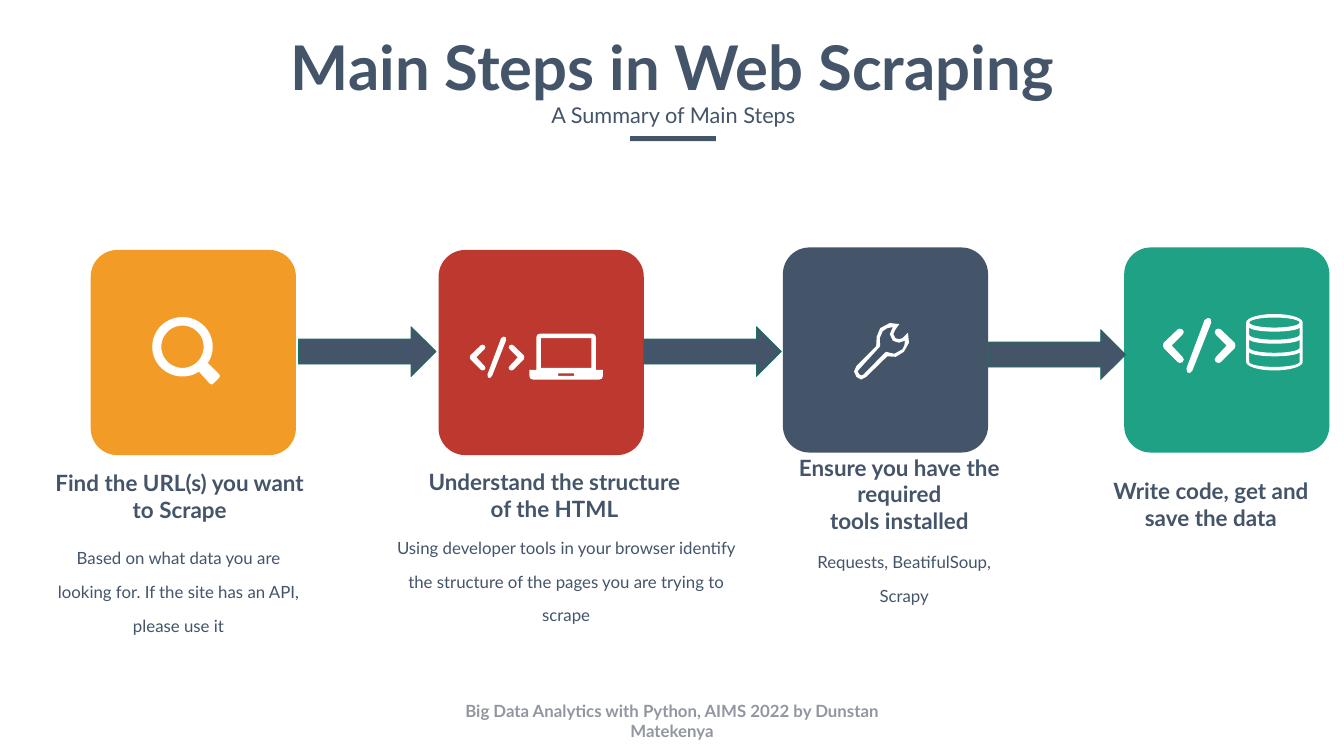
import math

import pptx
import pptx.dml.color
import pptx.enum.shapes
import pptx.enum.text
import pptx.util

Inches = pptx.util.Inches
RGBColor = pptx.dml.color.RGBColor
MSO_SHAPE = pptx.enum.shapes.MSO_SHAPE
ANCHOR = pptx.enum.text.MSO_ANCHOR
FONT = "Lato"

SLATE = RGBColor(0x44, 0x54, 0x69)
ORANGE = RGBColor(0xF2, 0x9B, 0x26)
RED = RGBColor(0xBD, 0x39, 0x2F)
GREEN = RGBColor(0x1E, 0xA1, 0x85)
ARROW_EDGE = RGBColor(0x15, 0x75, 0x61)
GREY = RGBColor(0x91, 0x97, 0xA0)
WHITE = RGBColor(0xFF, 0xFF, 0xFF)

# Content: card colour and position, then heading and detail with their boxes
CARD_SIZE = 4.07
STEPS = [
    (ORANGE, 1.8, 4.96,
     ["Find the URL(s) you want", "to Scrape"], (0.9, 9.26, 5.33, 1.18),
     "Based on what data you are looking for. If the site has an API, please use it",
     (0.9, 10.48, 5.28, 1.85)),
    (RED, 8.7, 4.96,
     ["Understand the structure", "of the HTML"], (8.32, 9.24, 5.36, 1.18),
     "Using developer tools in your browser identify the structure of the pages "
     "you are trying to scrape", (7.55, 10.27, 7.36, 1.85)),
    (SLATE, 15.53, 4.91,
     ["Ensure you have the required", "tools installed"], (15.49, 8.94, 4.7, 1.72),
     "Requests, BeatifulSoup, Scrapy", (15.8, 10.55, 4.27, 1.29)),
    (GREEN, 22.3, 4.91,
     ["Write code, get and save the data"], (21.67, 9.41, 4.7, 1.18), None, None),
]
ARROWS = [(5.92, 6.48), (12.77, 6.48), (19.6, 6.54)]
ARROW_SIZE = (2.73, 0.99)


def arc(cx, cy, rx, ry, start, end, steps=24):
    """Points on an ellipse, angles in degrees, clockwise from the right."""
    angles = [math.radians(start + (end - start) * i / steps) for i in range(steps + 1)]
    return [(cx + rx * math.cos(a), cy + ry * math.sin(a)) for a in angles]


def rect(x1, y1, x2, y2):
    return [(x1, y1), (x2, y1), (x2, y2), (x1, y2)]


# Icons: lists of contours, in inches from the icon's top left corner
MAGNIFIER = [
    arc(0.6, 0.59, 0.6, 0.59, 57, 393, 60)
    + [(1.33, 1.14), (1.34, 1.17), (1.33, 1.2), (1.21, 1.32), (1.18, 1.34), (1.14, 1.32)],
    arc(0.6, 0.59, 0.42, 0.42, 0, 360, 48),
]
CHEVRON = [(1.07, 0.45), (0.86, 0.66), (0.83, 0.67), (0.79, 0.66), (0.77, 0.62),
           (0.79, 0.58), (0.95, 0.41), (0.79, 0.25), (0.77, 0.21), (0.79, 0.17),
           (0.83, 0.16), (0.86, 0.17), (1.07, 0.37), (1.08, 0.41)]
SLASH = [(0.44, 0.78), (0.4, 0.82), (0.36, 0.81), (0.35, 0.75), (0.62, 0.03),
         (0.67, 0), (0.71, 0.01), (0.72, 0.07)]
CODE = [CHEVRON, SLASH, [(1.08 - x, y) for x, y in CHEVRON]]
LAPTOP = [
    [(0.14, 0.72), (0.14, 0.07), (0.16, 0.02), (0.21, 0), (1.25, 0), (1.3, 0.02),
     (1.32, 0.07), (1.32, 0.72), (1.46, 0.72), (1.46, 0.84), (1.44, 0.89),
     (1.39, 0.91), (0.07, 0.91), (0.02, 0.89), (0, 0.84), (0, 0.72)],
    rect(0.23, 0.09, 1.23, 0.68),
    rect(0.57, 0.79, 0.89, 0.84),
]
WRENCH = [
    [(1.1, 0.23), (0.99, 0.34), (0.92, 0.36), (0.85, 0.34), (0.81, 0.26), (0.85, 0.17),
     (0.93, 0.06), (0.74, 0.04), (0.55, 0.14), (0.48, 0.31), (0.47, 0.5), (0.08, 0.89),
     (0.03, 1), (0.08, 1.11), (0.17, 1.16), (0.27, 1.11), (0.69, 0.7), (0.86, 0.71),
     (1.02, 0.61), (1.12, 0.43)],
    [(0.99, 0.56), (0.83, 0.65), (0.66, 0.61), (0.22, 1.06), (0.18, 1.08), (0.14, 1.06),
     (0.1, 1), (0.14, 0.95), (0.55, 0.5), (0.54, 0.34), (0.6, 0.2), (0.69, 0.14),
     (0.8, 0.12), (0.74, 0.26), (0.8, 0.39), (0.92, 0.43), (1.04, 0.39), (1.03, 0.48)],
]
BANDS = [(0.26, 0.41), (0.5, 0.67), (0.75, 0.95)]
DATABASE = [
    arc(0.56, 0.17, 0.56, 0.17, 180, 360) + arc(0.56, 0.95, 0.56, 0.17, 0, 180),
    arc(0.56, 0.17, 0.5, 0.1, 0, 360),
] + [arc(0.56, top, 0.5, 0.09, 180, 0) + arc(0.56, bottom, 0.5, 0.1, 0, 180)
     for top, bottom in BANDS]
ICONS = [  # contours, left, top, scale
    (MAGNIFIER, 3.02, 6.29, 1),
    (CODE, 9.32, 6.68, 1),
    (LAPTOP, 10.5, 6.62, 1),
    (WRENCH, 16.91, 6.37, 1),
    (CODE, 23.07, 6.31, 1.33),
    (DATABASE, 24.72, 6.23, 1),
]

prs = pptx.Presentation()
prs.slide_width, prs.slide_height = Inches(26.66), Inches(15)
s = prs.slides.add_slide(prs.slide_layouts[6])


def paint(sp, fill, line=None):
    sp.shadow.inherit = False
    sp.fill.solid()
    sp.fill.fore_color.rgb = fill
    if line is None:
        sp.line.fill.background()
    else:
        sp.line.color.rgb = line
        sp.line.width = pptx.util.Pt(1)


def add_shape(kind, box, fill, line=None):
    sp = s.shapes.add_shape(kind, *map(Inches, box))
    paint(sp, fill, line)
    return sp


def add_text(box, lines, size, bold=False, color=SLATE, spacing=None,
             anchor=ANCHOR.TOP, inset=0.1, grow=True):
    tf = s.shapes.add_textbox(*map(Inches, box)).text_frame
    tf.word_wrap = True
    if grow:
        tf.auto_size = pptx.enum.text.MSO_AUTO_SIZE.SHAPE_TO_FIT_TEXT
    tf.vertical_anchor = anchor
    tf.margin_left = tf.margin_right = Inches(inset)
    tf.margin_top = tf.margin_bottom = Inches(inset / 2)
    tf.text = "\n".join(lines)
    for p in tf.paragraphs:
        p.alignment = pptx.enum.text.PP_ALIGN.CENTER
        p.line_spacing = spacing
        for r in p.runs:
            r.font.name, r.font.size, r.font.bold = FONT, pptx.util.Pt(size), bold
            r.font.color.rgb = color


def add_icon(contours, left, top, scale):
    placed = [[(Inches(left + x * scale), Inches(top + y * scale)) for x, y in contour]
              for contour in contours]
    builder = s.shapes.build_freeform(*placed[0][0])
    for i, contour in enumerate(placed):
        if i:
            builder.move_to(*contour[0])
        builder.add_line_segments(contour[1:], close=True)
    paint(builder.convert_to_shape(), WHITE)


# Title, subtitle and rule
add_text((5.52, 0.53, 15.63, 1.58), ["Main Steps in Web Scraping"], 88, bold=True)
add_text((10.68, 1.79, 5.35, 0.8), ["A Summary of Main Steps"], 31, spacing=1.2, inset=0.24)
add_shape(MSO_SHAPE.RECTANGLE, (12.5, 2.7, 1.7, 0.1), SLATE)

# Cards with headings and details
for color, left, top, heading, heading_box, detail, detail_box in STEPS:
    card = add_shape(MSO_SHAPE.ROUNDED_RECTANGLE, (left, top, CARD_SIZE, CARD_SIZE), color)
    card.adjustments[0] = 0.13
    add_text(heading_box, heading, 32, bold=True, anchor=ANCHOR.MIDDLE)
    if detail:
        add_text(detail_box, [detail], 24, spacing=1.68, inset=0.24)

# Arrows between cards
for position in ARROWS:
    add_shape(MSO_SHAPE.RIGHT_ARROW, position + ARROW_SIZE, SLATE, ARROW_EDGE)

# Icons on the cards
for icon in ICONS:
    add_icon(*icon)

# Footer
add_text((8.83, 13.9, 9, 0.8),
         ["Big Data Analytics with Python, AIMS 2022 by Dunstan Matekenya"], 24,
         bold=True, color=GREY, anchor=ANCHOR.MIDDLE, inset=0.2, grow=False)

prs.save("out.pptx")
